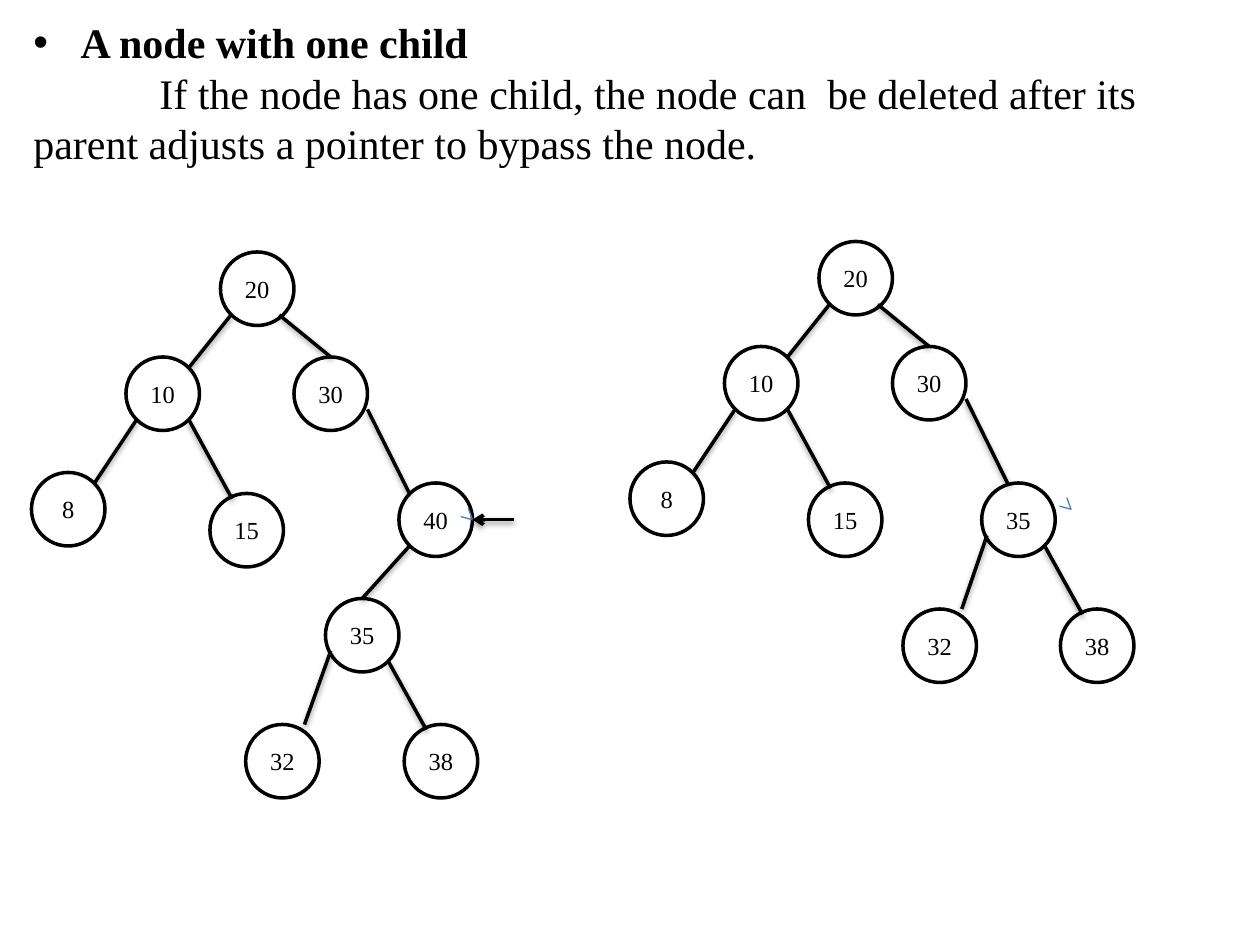
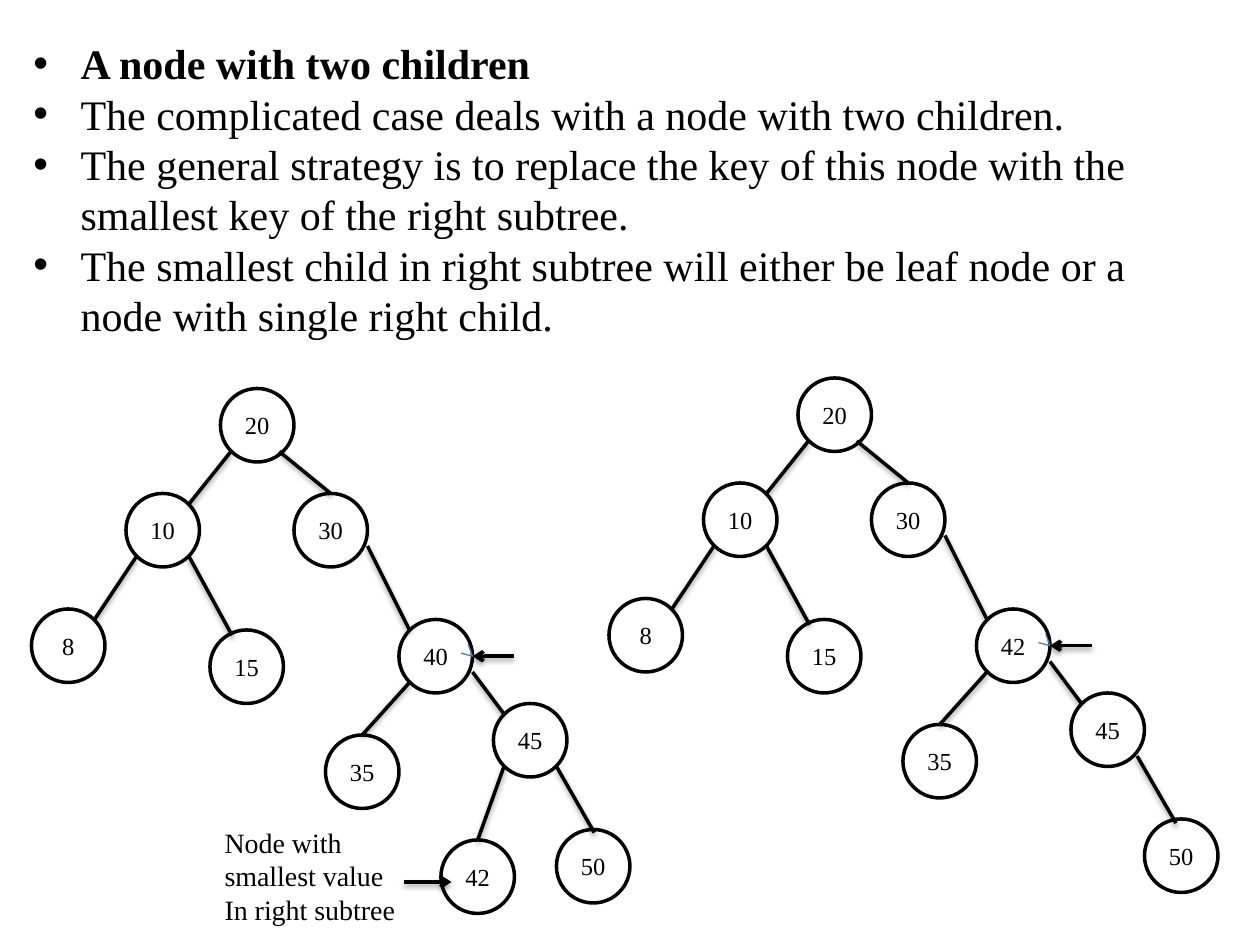
import pptx
import pptx.dml.color
import pptx.enum.shapes
import pptx.enum.text
import pptx.oxml
import pptx.oxml.ns
import pptx.util

COLS = 120
ROWS = 90
CELL = 76200
NODE = 7
FONT = "Times New Roman"
INK = "000000"
BLUE = "4A7EBB"
TOP = (3.5, 0)

# Each link style: where it leaves the parent, where it meets the child.
LINKS = {
    "left": ((1, 6), (6, 1)),
    "under": ((1, 6), TOP),
    "steep": ((0.5, 5), (5.6, 0)),
    "over": ((5.6, 6), TOP),
    "right": ((6, 6), (2.1, 0.5)),
    "side": ((7, 5), (1, 1)),
    "outer": ((7, 5), (2.5, 0.1)),
    "drop": ((6, 6), (3.6, 0.3)),
    "last": ((6.3, 6), (3, 0.4)),
}

# Each node: key, column and row from the root, parent key, link style.
BASE = [
    ("20", 0, 0, None, None),
    ("10", -9, 10, "20", "left"),
    ("30", 7, 10, "20", "over"),
    ("8", -18, 21, "10", "left"),
    ("15", -1, 23, "10", "right"),
]
ONE_OLD = BASE + [
    ("40", 17, 22, "30", "side"),
    ("35", 10, 33, "40", "under"),
    ("32", 2.4, 45, "35", "steep"),
    ("38", 17.5, 45, "35", "right"),
]
ONE_NEW = BASE + [
    ("35", 15.5, 23, "30", "outer"),
    ("32", 8, 35, "35", "steep"),
    ("38", 23, 35, "35", "right"),
]
TWO_OLD = BASE + [
    ("40", 17, 22, "30", "side"),
    ("35", 10, 33, "40", "under"),
    ("45", 26, 30, "40", "side"),
    ("42", 21, 43, "45", "under"),
    ("50", 32, 42, "45", "drop"),
]
TWO_NEW = BASE + [
    ("42", 17, 22, "30", "side"),
    ("35", 10, 33, "42", "under"),
    ("45", 26, 30, "42", "side"),
    ("50", 33, 42, "45", "last"),
]


def cells(*counts):
    """Turn counts of grid cells into lengths."""
    return [pptx.util.Emu(round(n * CELL)) for n in counts]


def paint(target, color):
    """Give a fill a solid colour."""
    target.solid()
    target.fore_color.rgb = pptx.dml.color.RGBColor.from_string(color)


def stroke(shape, color=INK, width=2, head=False):
    """Set the outline and, if asked, an arrowhead at its end."""
    paint(shape.line.fill, color)
    shape.line.width = pptx.util.Pt(width)
    if head:
        line = shape.element.spPr.find(pptx.oxml.ns.qn("a:ln"))
        tip = f'<a:tailEnd {pptx.oxml.ns.nsdecls("a")} type="arrow"/>'
        line.append(pptx.oxml.parse_xml(tip))


def shade(shape):
    """Add the soft shadow that falls below a line."""
    shape.element.spPr.append(pptx.oxml.parse_xml(
        f'<a:effectLst {pptx.oxml.ns.nsdecls("a")}>'
        '<a:outerShdw blurRad="40000" dist="20000" dir="5400000" rotWithShape="0">'
        '<a:srgbClr val="000000"><a:alpha val="38000"/></a:srgbClr>'
        '</a:outerShdw></a:effectLst>'))


def write(frame, text, size=24, bold=False, center=False, bullet=False, indent=0):
    """Write one paragraph at the end of a text frame."""
    para = frame.paragraphs[-1]
    if para.runs:
        para = frame.add_paragraph()
    align = pptx.enum.text.PP_ALIGN
    para.alignment = align.CENTER if center else align.LEFT
    run = para.add_run()
    run.text = text
    run.font.name = FONT
    run.font.size = pptx.util.Pt(size)
    run.font.bold = bold
    paint(run.font.fill, INK)
    props = para._p.get_or_add_pPr()
    if bullet:
        hang = cells(4.5)[0]
        props.set("marL", str(hang))
        props.set("indent", str(-hang))
        names = pptx.oxml.ns.nsdecls("a")
        for mark in ('buFont {} typeface="Arial"', 'buChar {} char="•"'):
            props.append(pptx.oxml.parse_xml(f"<a:{mark.format(names)}/>"))
    elif indent:
        props.set("marL", "0")
        props.set("indent", str(cells(indent)[0]))


def text_box(slide, col, row, wide, high):
    """Add a text box and return its frame."""
    frame = slide.shapes.add_textbox(*cells(col, row, wide, high)).text_frame
    frame.word_wrap = True
    return frame


def add_node(slide, key, col, row):
    """Draw a tree node as a ring around its key."""
    ring = slide.shapes.add_shape(
        pptx.enum.shapes.MSO_SHAPE.OVAL, *cells(col, row, NODE, NODE))
    ring.shadow.inherit = False
    ring.fill.background()
    stroke(ring)
    ring.text_frame.vertical_anchor = pptx.enum.text.MSO_ANCHOR.MIDDLE
    write(ring.text_frame, key, size=14, center=True)
    return ring


def add_line(slide, start, end, head=False):
    """Draw a straight line, with an arrowhead if asked."""
    line = slide.shapes.add_connector(
        pptx.enum.shapes.MSO_CONNECTOR.STRAIGHT, *cells(*start, *end))
    stroke(line, head=head)
    shade(line)
    return line


def add_tree(slide, left, top, nodes):
    """Draw a tree whose root stands at the given cell."""
    spots = {}
    for key, col, row, parent, style in nodes:
        col, row = spots[key] = (left + col, top + row)
        ring = add_node(slide, key, col, row)
        if parent:
            leave, meet = LINKS[style]
            above = spots[parent]
            line = add_line(slide, (above[0] + leave[0], above[1] + leave[1]),
                            (col + meet[0], row + meet[1]))
            if meet == TOP:
                line.end_connect(ring, 0)


def add_tick(slide, col, row):
    """Draw a small blue open arrowhead with its tip at a point."""
    pen = slide.shapes.build_freeform(*cells(col - 1.1, row - 0.3))
    pen.add_line_segments(
        [cells(col, row), cells(col - 0.4, row - 1.1)], close=False)
    tick = pen.convert_to_shape()
    tick.shadow.inherit = False
    tick.fill.background()
    stroke(tick, BLUE, 0.75)


def add_mark(slide, col, row):
    """Point at a node from its right side."""
    add_tick(slide, col, row)
    add_line(slide, (col + 4, row), (col, row), head=True)


def one_child(slide):
    """Show how a node with one child is removed."""
    frame = text_box(slide, 2, 1, 108, 18)
    write(frame, "A node with one child", bold=True, bullet=True)
    write(frame, "If the node has one child, the node can  be deleted after its "
                 "parent adjusts a pointer to bypass the node.", indent=12)
    add_tree(slide, 21, 24, ONE_OLD)
    add_mark(slide, 45, 49.5)
    add_tree(slide, 78, 23, ONE_NEW)
    add_tick(slide, 102, 48.5)


def two_children(slide):
    """Show how a node with two children is replaced."""
    frame = text_box(slide, 2, 3, 108, 37)
    write(frame, "A node with two children", bold=True, bullet=True)
    for text in (
        "The complicated case deals with a node with two children.",
        "The general strategy is to replace the key of this node with the "
        "smallest key of the right subtree.",
        "The smallest child in right subtree will either be leaf node or a "
        "node with single right child.",
    ):
        write(frame, text, bullet=True)
    add_tree(slide, 21, 37, TWO_OLD)
    add_mark(slide, 45, 62.5)
    add_line(slide, (38.5, 84), (43, 84), head=True)
    note = text_box(slide, 20.2, 78, 20, 10.8)
    for text in ("Node with", "smallest value", "In right subtree"):
        write(note, text, size=16)
    add_tree(slide, 76, 36, TWO_NEW)
    add_mark(slide, 100, 61.5)


def main():
    """Build both slides and save them."""
    deck = pptx.Presentation()
    deck.slide_width, deck.slide_height = cells(COLS, ROWS)
    for build in (one_child, two_children):
        build(deck.slides.add_slide(deck.slide_layouts[6]))
    deck.save("out.pptx")


if __name__ == "__main__":
    main()
